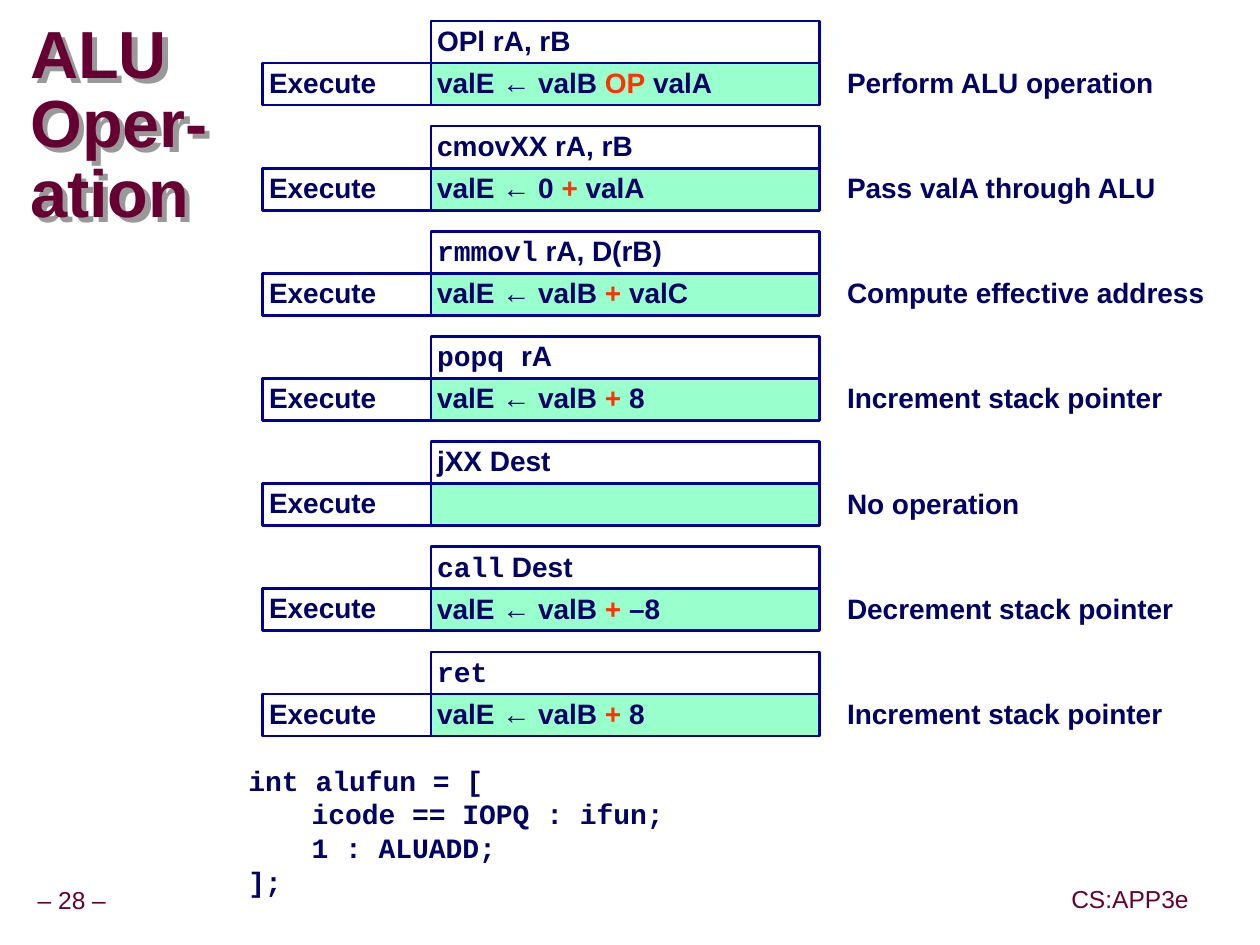
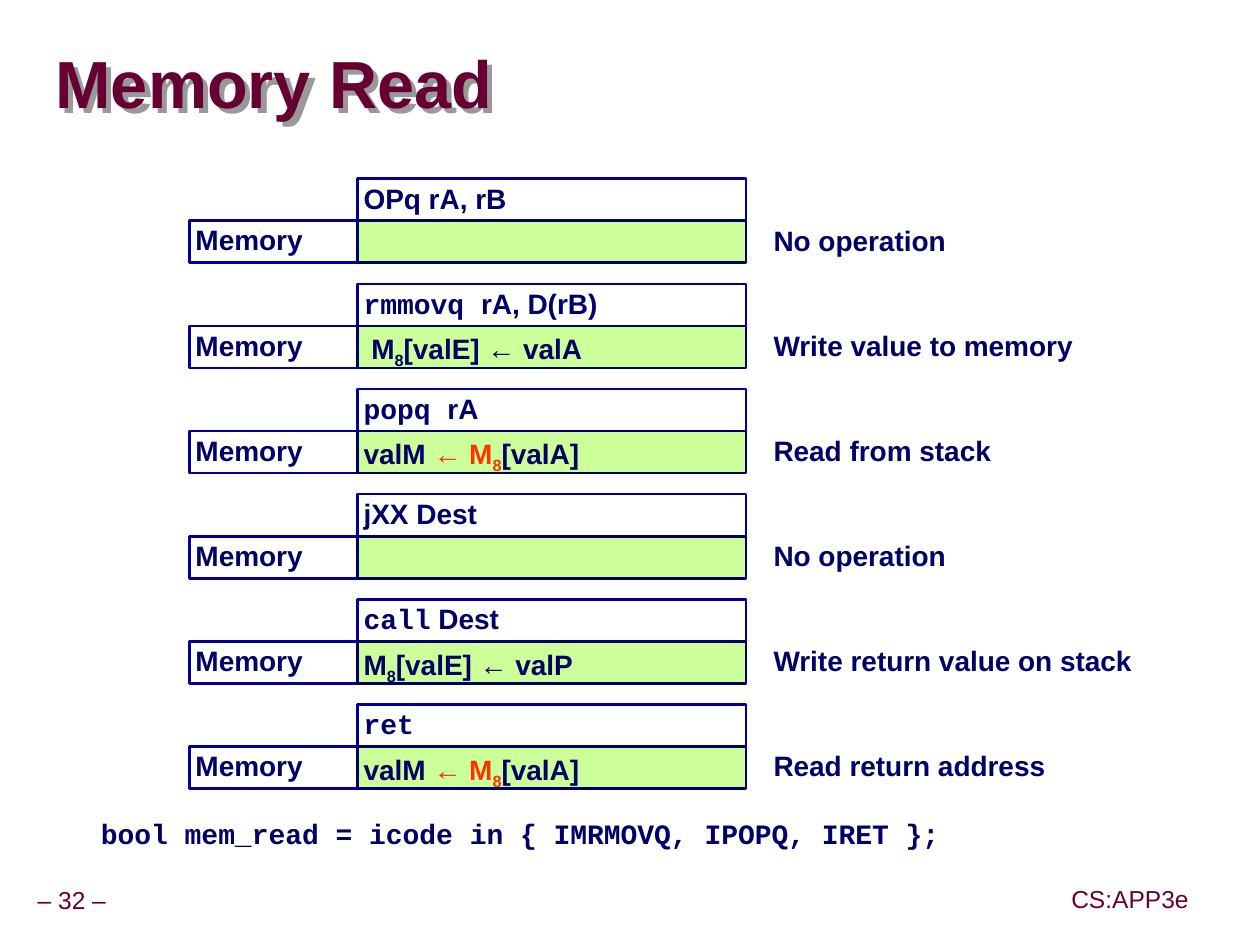
import pptx
import pptx.dml.color
import pptx.enum.shapes
import pptx.enum.text
import pptx.oxml
import pptx.oxml.ns
import pptx.util

# Shared look
WIDTH, HEIGHT = 9.99, 7.49
MAROON, NAVY, BLUE, RED, GRAY = "660033", "000066", "000099", "FF3300", "999999"
SANS, MONO = "Arial", "Courier New"
TITLE_SIZE, BODY_SIZE, FOOTER_SIZE = 38, 16, 14
INSET = 0.05
ANCHOR = pptx.enum.text.MSO_ANCHOR
ALIGN = pptx.enum.text.PP_ALIGN

# Instruction grid, in units of a twelfth of an inch
UNIT = 1 / 12
STAGE_COLUMNS, ACTION_COLUMNS, GAP_COLUMNS = 16, 37, 2
ROW, PITCH = 4, 10

# Run styles; a plain string is navy bold sans
STYLES = {
    "plain": {},
    "code": {"name": MONO},
    "hot": {"color": RED},
    "sub": {"baseline": -25},
    "hot sub": {"color": RED, "baseline": -25},
}

PLUS = ("+", "hot")
READ_MEMORY = ["valM ", ("← M", "hot"), ("8", "hot sub"), "[valA]"]

# Content: each instruction is (heading, action, meaning)
SLIDES = [
    {
        "number": 28,
        "title": ["ALU", "Oper-", "ation"],
        "title_at": (0.24, 0.58),
        "stage": "Execute",
        "grid_at": (25, 2),
        "fill": "99FFCC",
        "line": BLUE,
        "instructions": [
            (["OPl rA, rB"], ["valE ← valB ", ("OP", "hot"), " valA"], "Perform ALU operation"),
            (["cmovXX rA, rB"], ["valE ← 0 ", ("+ ", "hot"), "valA"], "Pass valA through ALU"),
            ([("rmmovl", "code"), " rA, D(rB)"], ["valE ← valB ", PLUS, " valC"],
             "Compute effective address"),
            ([("popq ", "code"), "rA"], ["valE ← valB ", PLUS, " 8"], "Increment stack pointer"),
            (["jXX Dest"], [], "No operation"),
            ([("call", "code"), " Dest"], ["valE ← valB ", PLUS, " –8"], "Decrement stack pointer"),
            ([("ret", "code")], ["valE ← valB ", PLUS, " 8"], "Increment stack pointer"),
        ],
        "code": ["int alufun = [", "\ticode == IOPQ : ifun;", "\t1 : ALUADD;", "];"],
        "code_at": (1.92, 6, 6.25, 1.17),
    },
    {
        "number": 32,
        "title": ["Memory Read"],
        "title_at": (0.44, 0.27),
        "stage": "Memory",
        "grid_at": (18, 17),
        "fill": "CCFF99",
        "line": NAVY,
        "instructions": [
            (["OPq rA, rB"], [], "No operation"),
            ([("rmmovq ", "code"), "rA, D(rB)"], [" M", ("8", "sub"), "[valE] ← valA"],
             "Write value to memory"),
            ([("popq ", "code"), "rA"], READ_MEMORY, "Read from stack"),
            (["jXX Dest"], [], "No operation"),
            ([("call", "code"), " Dest"], ["M", ("8", "sub"), "[valE] ← valP"],
             "Write return value on stack"),
            ([("ret", "code")], READ_MEMORY, "Read return address"),
        ],
        "code": ["bool mem_read = icode in { IMRMOVQ, IPOPQ, IRET };"],
        "code_at": (0.75, 6.42, 8.75, 0.37),
    },
]


def rgb(value):
    return pptx.dml.color.RGBColor.from_string(value)


def add_run(paragraph, text, size=BODY_SIZE, name=SANS, color=NAVY, bold=True, baseline=0):
    run = paragraph.add_run()
    run.text = text
    run.font.size = pptx.util.Pt(size)
    run.font.name = name
    run.font.bold = bold
    run.font.color.rgb = rgb(color)
    if baseline:
        run.font._element.set("baseline", str(baseline * 1000))


def add_styled_runs(paragraph, parts):
    for part in parts:
        text, style = (part, "plain") if isinstance(part, str) else part
        add_run(paragraph, text, **STYLES[style])


def prepare_frame(shape, anchor=ANCHOR.TOP, inset=INSET, wrap=True, spacing=0.9, align=ALIGN.LEFT):
    """Set up the text frame and return its first paragraph."""
    frame = shape.text_frame
    frame.word_wrap = wrap
    frame.vertical_anchor = anchor
    frame.margin_left = frame.margin_right = pptx.util.Inches(inset)
    frame.margin_top = frame.margin_bottom = pptx.util.Inches(inset)
    paragraph = frame.paragraphs[0]
    paragraph.line_spacing = spacing
    paragraph.alignment = align
    return paragraph


def add_text_box(slide, box):
    return slide.shapes.add_textbox(*map(pptx.util.Inches, box))


def add_cell(slide, box, parts, line=BLUE, fill=None, anchor=ANCHOR.TOP):
    shape = slide.shapes.add_shape(
        pptx.enum.shapes.MSO_SHAPE.RECTANGLE, *map(pptx.util.Inches, box))
    shape.shadow.inherit = False
    if fill:
        shape.fill.solid()
        shape.fill.fore_color.rgb = rgb(fill)
    else:
        shape.fill.background()
    shape.line.color.rgb = rgb(line)
    shape.line.width = pptx.util.Pt(1.5)
    add_styled_runs(prepare_frame(shape, anchor), parts)


def add_title(slide, lines, place):
    shape = add_text_box(slide, (*place, 9.52, 0.85))
    paragraph = prepare_frame(shape, ANCHOR.MIDDLE, inset=0, spacing=0.87)
    for index, line in enumerate(lines):
        if index:
            paragraph.add_line_break()
        add_run(paragraph, line, TITLE_SIZE, color=MAROON)
    # Without a fill, the shadow is cast by the letters
    shape._element.spPr.append(pptx.oxml.parse_xml(
        f'<a:effectLst {pptx.oxml.ns.nsdecls("a")}>'
        '<a:outerShdw dist="53880" dir="2700000" algn="ctr" rotWithShape="0">'
        f'<a:srgbClr val="{GRAY}"/></a:outerShdw></a:effectLst>'))


def add_footers(slide, number):
    for text, box in ((f"– {number} –", (0.24, 6.99, 0.66, 0.31)),
                      ("CS:APP3e", (8.44, 6.98, 1.04, 0.32))):
        paragraph = prepare_frame(
            add_text_box(slide, box), ANCHOR.MIDDLE, wrap=False, align=ALIGN.CENTER)
        add_run(paragraph, text, FOOTER_SIZE, color=MAROON, bold=False)


def add_instructions(slide, content):
    left, first_top = content["grid_at"]
    action_left = left + STAGE_COLUMNS
    meaning_left = action_left + ACTION_COLUMNS + GAP_COLUMNS

    def grid_box(column, row, columns):
        return [UNIT * value for value in (column, row, columns, ROW)]

    for index, (heading, action, meaning) in enumerate(content["instructions"]):
        top = first_top + index * PITCH
        lower = top + ROW
        add_cell(slide, grid_box(action_left, top, ACTION_COLUMNS), heading)
        add_cell(slide, grid_box(left, lower, STAGE_COLUMNS), [content["stage"]],
                 anchor=ANCHOR.MIDDLE)
        add_cell(slide, grid_box(action_left, lower, ACTION_COLUMNS), action,
                 content["line"], content["fill"])
        meaning_box = add_text_box(slide, grid_box(meaning_left, lower, ACTION_COLUMNS))
        add_run(prepare_frame(meaning_box), meaning)


def add_code(slide, lines, box):
    shape = add_text_box(slide, box)
    paragraph = prepare_frame(shape, spacing=1.0)
    for index, line in enumerate(lines):
        if index:
            paragraph = shape.text_frame.add_paragraph()
        add_run(paragraph, line, name=MONO)


def main():
    presentation = pptx.Presentation()
    presentation.slide_width = pptx.util.Inches(WIDTH)
    presentation.slide_height = pptx.util.Inches(HEIGHT)
    for content in SLIDES:
        slide = presentation.slides.add_slide(presentation.slide_layouts[6])
        add_footers(slide, content["number"])
        add_title(slide, content["title"], content["title_at"])
        add_instructions(slide, content)
        add_code(slide, content["code"], content["code_at"])
    presentation.save("out.pptx")


if __name__ == "__main__":
    main()
